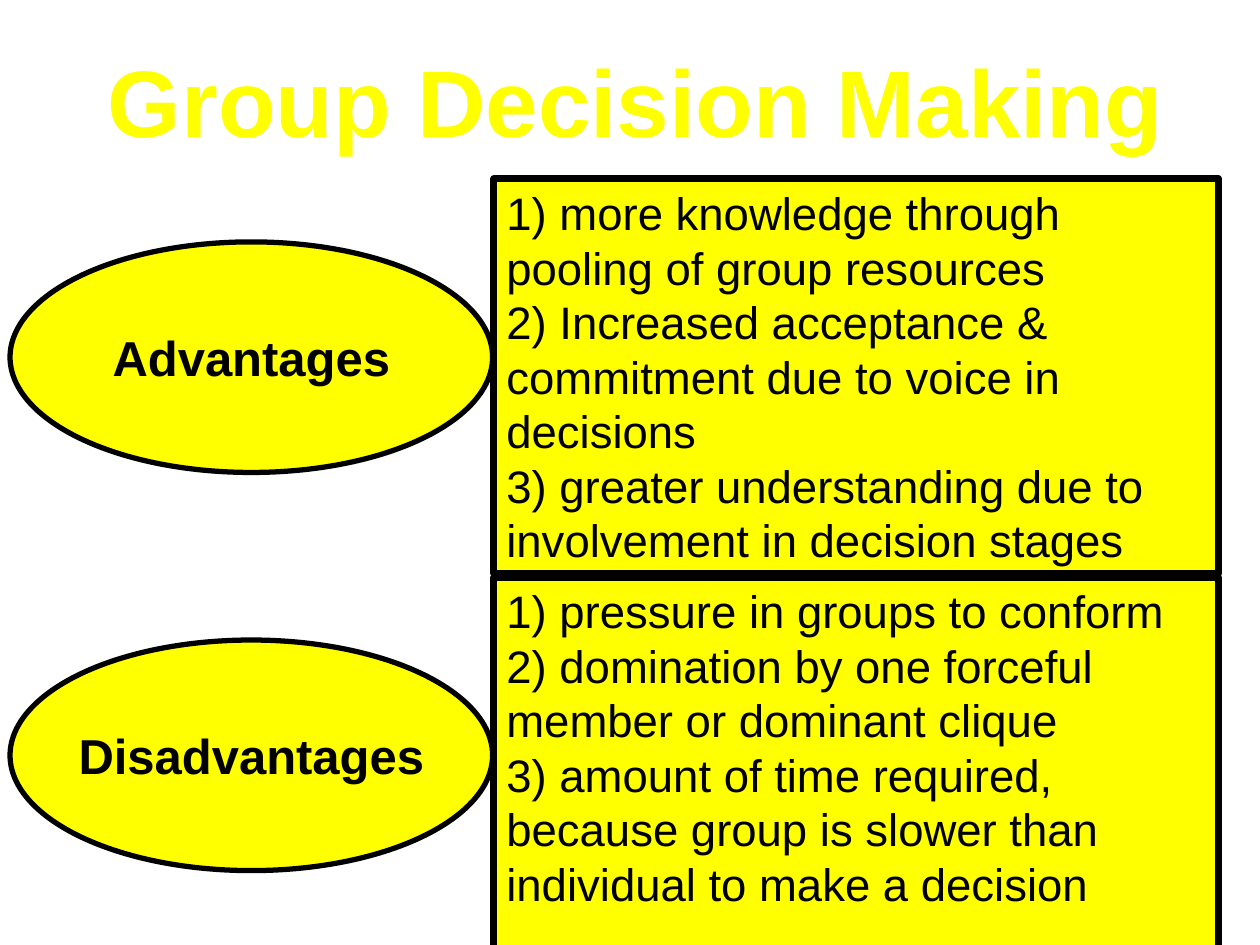
"""Build the Group Decision Making slide with its advantages and disadvantages."""
from pptx import Presentation
from pptx.dml.color import RGBColor
from pptx.enum import shapes, text
from pptx.util import Inches, Pt

YELLOW = RGBColor(0xFF, 0xFF, 0x00)
BLACK = RGBColor(0x00, 0x00, 0x00)

TITLE_FONT = {"name": "Arial", "size": Pt(54), "bold": True}
LABEL_FONT = {"name": "Arial", "size": Pt(28), "bold": True}
POINT_FONT = {"name": "Arial", "size": Pt(26), "bold": False}

SECTIONS = [
    ("Advantages", 1.42, [
        "1) more knowledge through pooling of group resources",
        "2) Increased acceptance & commitment due to voice in decisions",
        "3) greater understanding due to",
        "involvement in decision stages",
    ]),
    ("Disadvantages", 4.58, [
        "1) pressure in groups to conform",
        "2) domination by one forceful member or dominant clique",
        "3) amount of time required, because group is slower than individual to make a decision",
    ]),
]


def write(frame, lines, font_values, color, align, anchor):
    frame.vertical_anchor = anchor
    for index, line in enumerate(lines):
        para = frame.add_paragraph() if index else frame.paragraphs[0]
        para.alignment = align
        span = para.add_run()
        span.text = line
        for name, value in font_values.items():
            setattr(span.font, name, value)
        span.font.color.rgb = color


def add_panel(group, kind, left, top, width, height, border):
    panel = group.shapes.add_shape(
        kind, Inches(left), Inches(top), Inches(width), Inches(height))
    panel.shadow.inherit = False
    panel.fill.solid()
    panel.fill.fore_color.rgb = YELLOW
    panel.line.color.rgb = BLACK
    panel.line.width = Pt(border)
    return panel.text_frame


deck = Presentation()
deck.slide_width, deck.slide_height = Inches(10), Inches(7.5)
page = deck.slides.add_slide(deck.slide_layouts[5])

title = page.shapes.title
title.left, title.top = Inches(0.42), Inches(0.17)
title.width, title.height = Inches(9.25), Inches(1.25)
title.text_frame.auto_size = text.MSO_AUTO_SIZE.NONE
write(title.text_frame, ["Group Decision Making"], TITLE_FONT, YELLOW,
      text.PP_ALIGN.CENTER, text.MSO_ANCHOR.MIDDLE)

for label, top, points in SECTIONS:
    group = page.shapes.add_group_shape()

    box = add_panel(group, shapes.MSO_SHAPE.RECTANGLE, 3.92, top, 5.75, 3.13, 4)
    box.word_wrap = True
    box.auto_size = text.MSO_AUTO_SIZE.SHAPE_TO_FIT_TEXT
    write(box, points, POINT_FONT, BLACK, text.PP_ALIGN.LEFT, text.MSO_ANCHOR.TOP)

    oval = add_panel(group, shapes.MSO_SHAPE.OVAL, 0.08, top + 0.5, 3.83, 1.83, 3)
    oval.word_wrap = False
    write(oval, [label], LABEL_FONT, BLACK, text.PP_ALIGN.CENTER, text.MSO_ANCHOR.MIDDLE)

deck.save("out.pptx")
